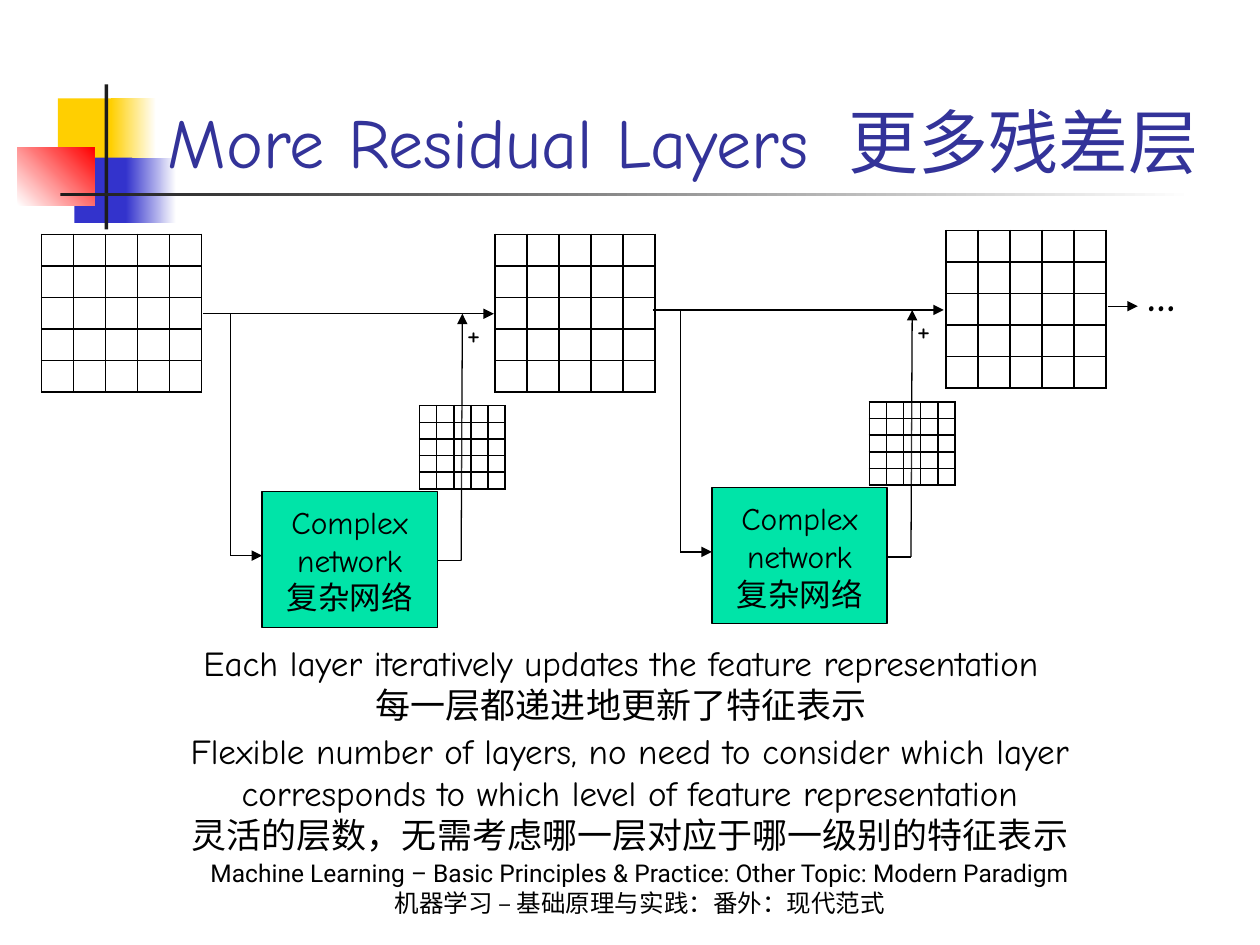
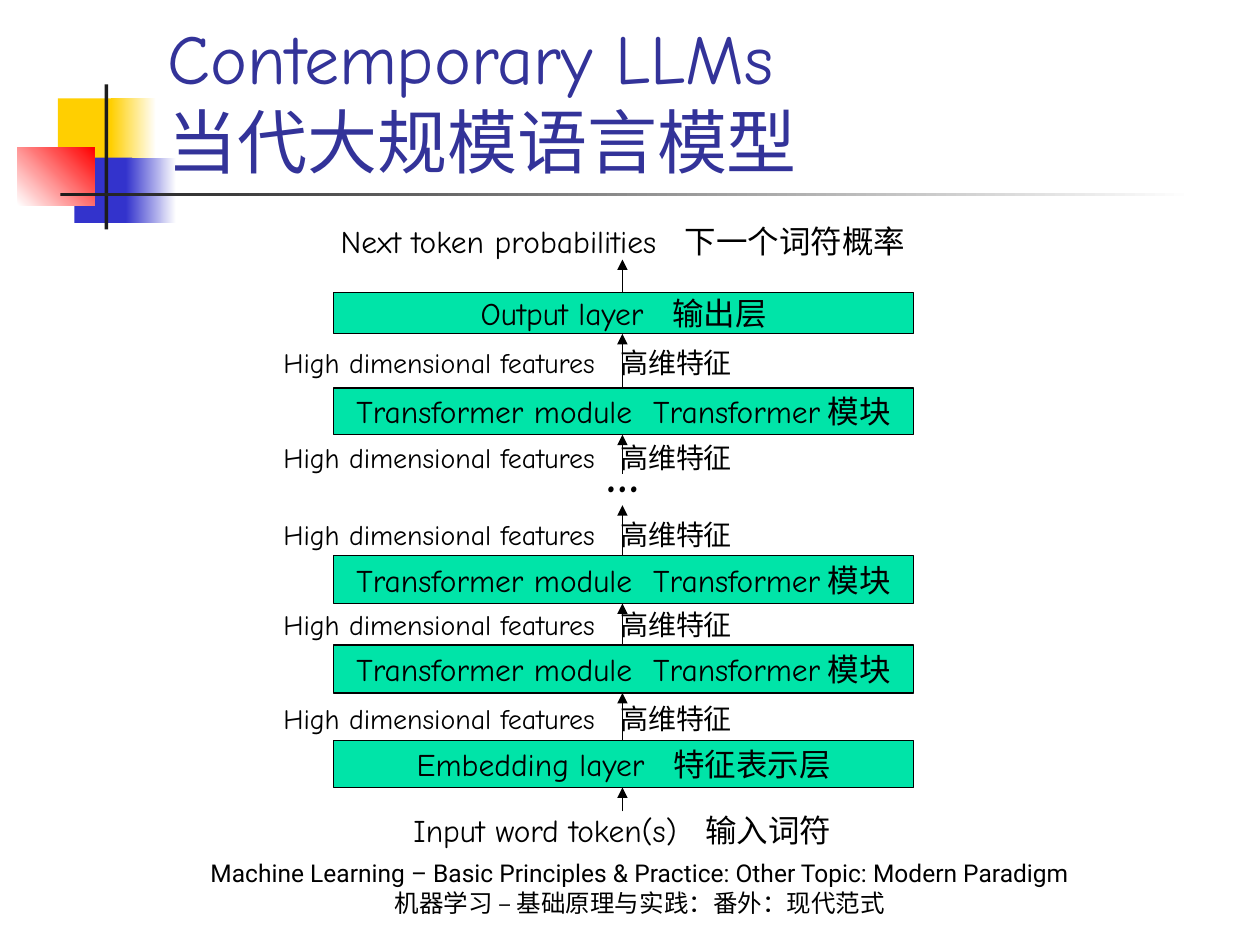
from lxml import etree
from pptx import Presentation
from pptx.dml.color import RGBColor
from pptx.enum import lang, shapes, text
from pptx.oxml.ns import qn
from pptx.util import Inches, Pt

COLORS = {
    "ink": "000000", "paper": "FFFFFF", "title": "333399", "box": "00E4A8",
    "yellow": "FFCF01", "blue": "3333CC", "red": "FF0000", "rule": "1C1C1C",
}
FONT = "Comic Neue"
FOOTER_FONT = "Roboto"
FOOTER = ("Machine Learning – Basic Principles & Practice: Other Topic: Modern Paradigm",
          "机器学习 – 基础原理与实践：番外：现代范式")
DECORATION = [  # left, top, width, height, colours, gradient angle
    (0.46, 0.78, 0.48, 0.52, ["yellow"], 0),
    (0.88, 0.78, 0.36, 0.52, ["yellow", "paper"], 0),
    (0.59, 1.25, 0.46, 0.52, ["blue"], 0),
    (1.0, 1.25, 0.4, 0.52, ["blue", "paper"], 0),
    (0.14, 1.17, 0.61, 0.46, ["paper", "red"], 45),
    (0.83, 0.67, 0.03, 1.15, ["rule"], 0),
    (0.48, 1.53, 9, 0.03, ["rule", "paper"], 0),
]
GRID_SIZE = 5


def rgb(name):
    return RGBColor.from_string(COLORS[name])


class Deck:
    def __init__(self):
        self.prs = Presentation()
        self.prs.slide_width, self.prs.slide_height = Inches(10), Inches(7.5)
        self.layout = self.prs.slide_layouts[5]
        self.s = None

    def new_slide(self, title, width):
        first = self.s is None
        self.s = self.prs.slides.add_slide(self.layout)
        if first:
            self.decorate_layout()
        sp = self.s.shapes.title
        sp.left, sp.top = Inches(1.23), Inches(0.5)
        sp.width, sp.height = Inches(width), Inches(1)
        self.set_text(sp, [title], 40, color="title", align=text.PP_ALIGN.LEFT,
                      anchor=text.MSO_ANCHOR.BOTTOM)
        self.label(0.83, 6.83, 8.5, 0.5, FOOTER, 14, font=FOOTER_FONT,
                   anchor=text.MSO_ANCHOR.BOTTOM)

    def decorate_layout(self):
        """Draw the corner blocks and rules, then move them behind the layout's content."""
        for i, (x, y, w, h, colors, angle) in enumerate(DECORATION):
            sp = self.rect(x, y, w, h, colors[0])
            sp.line.fill.background()
            if len(colors) > 1:
                sp.fill.gradient()
                sp.fill.gradient_angle = angle
                for stop, color in zip(sp.fill.gradient_stops, colors):
                    stop.color.rgb = rgb(color)
            self.layout.shapes.element.insert(2 + i, sp.element)

    def set_text(self, sp, lines, size, color="ink", font=FONT, bold=False,
                 align=text.PP_ALIGN.CENTER, anchor=text.MSO_ANCHOR.TOP, inset=None):
        tf = sp.text_frame
        tf.text = "\n".join(lines)
        tf.word_wrap = True
        tf.auto_size = text.MSO_AUTO_SIZE.NONE
        tf.vertical_anchor = anchor
        if inset is not None:
            tf.margin_left = tf.margin_right = Inches(inset)
            tf.margin_top = tf.margin_bottom = Inches(inset)
        for p in tf.paragraphs:
            p.alignment = align
            for r in p.runs:
                r.font.name, r.font.size, r.font.bold = font, Pt(size), bold
                r.font.color.rgb = rgb(color)
                r.font.language_id = lang.MSO_LANGUAGE_ID.SIMPLIFIED_CHINESE

    def label(self, x, y, w, h, lines, size, **style):
        sp = self.s.shapes.add_textbox(Inches(x), Inches(y), Inches(w), Inches(h))
        self.set_text(sp, lines, size, **style)

    def rect(self, x, y, w, h, color):
        sp = self.s.shapes.add_shape(shapes.MSO_SHAPE.RECTANGLE, Inches(x), Inches(y),
                                     Inches(w), Inches(h))
        sp.shadow.inherit = False
        sp.fill.solid()
        sp.fill.fore_color.rgb = rgb(color)
        return sp

    def box(self, x, y, w, h, lines, inset=None):
        sp = self.rect(x, y, w, h, "box")
        sp.line.color.rgb = rgb("ink")
        sp.line.width = Pt(0.75)
        self.set_text(sp, lines, 18, anchor=text.MSO_ANCHOR.MIDDLE, inset=inset)

    def line(self, x1, y1, x2, y2, arrow=False):
        cx = self.s.shapes.add_connector(shapes.MSO_CONNECTOR.STRAIGHT, Inches(x1),
                                         Inches(y1), Inches(x2), Inches(y2))
        cx.line.color.rgb = rgb("ink")
        cx.line.width = Pt(0.75)
        spPr = cx.element.spPr
        if arrow:
            etree.SubElement(spPr.find(qn("a:ln")), qn("a:tailEnd"), type="triangle")
        etree.SubElement(spPr, qn("a:effectLst"))

    def grid(self, x, y, w, h):
        """Draw an empty feature map as a square table."""
        table = self.s.shapes.add_table(GRID_SIZE, GRID_SIZE, Inches(x), Inches(y),
                                        Inches(w), Inches(h)).table
        table.first_row = table.horz_banding = False
        for col in table.columns:
            col.width = Inches(w / GRID_SIZE)
        for row in table.rows:
            row.height = Inches(h / GRID_SIZE)
        for cell in table.iter_cells():
            self.grid_cell(cell)

    def grid_cell(self, cell):
        cell.margin_left = cell.margin_right = cell.margin_top = cell.margin_bottom = 0
        etree.SubElement(cell.text_frame.paragraphs[0]._p, qn("a:endParaRPr"), sz="400")
        tcPr = cell._tc.get_or_add_tcPr()
        for side in ("lnL", "lnR", "lnT", "lnB"):
            ln = etree.SubElement(tcPr, qn(f"a:{side}"), w=str(Pt(1)))
            fill = etree.SubElement(ln, qn("a:solidFill"))
            etree.SubElement(fill, qn("a:srgbClr"), val=COLORS["ink"])
        cell.fill.solid()
        cell.fill.fore_color.rgb = rgb("paper")
        color = tcPr.find(qn("a:solidFill")).find(qn("a:srgbClr"))
        etree.SubElement(color, qn("a:alpha"), val="20000")


def residual_block(deck, x, y):
    """Draw one skip connection; x, y is where it leaves the input grid."""
    deck.line(x, y, x + 0.22, y)
    deck.line(x + 0.22, y, x + 0.22, y + 1.92)
    deck.line(x + 0.22, y + 1.92, x + 0.47, y + 1.92, arrow=True)
    deck.box(x + 0.47, y + 1.41, 1.39, 1.08, ["Complex network", "复杂网络"])
    deck.line(x + 1.86, y + 1.96, x + 2.05, y + 1.96)
    deck.line(x + 2.05, y + 1.96, x + 2.06, y, arrow=True)
    deck.grid(x + 1.72, y + 0.73, 0.68, 0.66)
    deck.line(x + 0.22, y, x + 2.31, y, arrow=True)
    deck.label(x + 1.97, y - 0.05, 0.36, 0.4, ["+"], 18)


def residual_slide(deck):
    deck.new_slide("More Residual Layers 更多残差层", 8.77)
    for x, y in ((0.33, 1.86), (3.93, 1.86), (7.51, 1.83)):
        deck.grid(x, y, 1.27, 1.25)
    residual_block(deck, 1.61, 2.49)
    residual_block(deck, 5.18, 2.46)
    deck.line(8.79, 2.43, 9.03, 2.43, arrow=True)
    deck.label(8.9, 2.09, 0.63, 0.5, ["…"], 24, bold=True)
    deck.label(0.67, 5.04, 8.52, 0.77,
               ["Each layer iteratively updates the feature representation",
                "每一层都递进地更新了特征表示"], 20)
    deck.label(0.74, 5.74, 8.52, 1.11,
               ["Flexible number of layers, no need to consider which layer "
                "corresponds to which level of feature representation",
                "灵活的层数，无需考虑哪一层对应于哪一级别的特征表示"], 20)


def llm_slide(deck):
    deck.new_slide("Contemporary LLMs\v当代大规模语言模型", 8.36)
    module = "Transformer module  Transformer模块"
    layers = [  # top, bottom, label, from the input upwards
        (5.88, 6.25, "Embedding layer  特征表示层"),
        (5.12, 5.5, module),
        (4.41, 4.79, module),
        (3.76, 4.01, None),
        (3.08, 3.45, module),
        (2.32, 2.65, "Output layer  输出层"),
    ]
    start = 6.44
    for top, bottom, name in layers:
        deck.line(4.94, start, 4.94, bottom, arrow=True)
        if name:
            deck.box(2.65, top, 4.6, bottom - top, [name], inset=0)
        else:
            deck.label(2.64, 3.47, 4.6, 0.57, ["…"], 28, bold=True)
        start = top
    deck.line(4.94, start, 4.94, 2.06, arrow=True)
    for y in (5.52, 4.77, 4.06, 3.45, 2.69):
        deck.label(1.73, y, 4.6, 0.37, ["High dimensional features  高维特征"], 16)
    deck.label(2.89, 6.44, 4.1, 0.3, ["Input word token(s)  输入词符"], 18, inset=0)
    deck.label(2.42, 1.76, 5.05, 0.3, ["Next token probabilities  下一个词符概率"], 18, inset=0)


def main():
    deck = Deck()
    residual_slide(deck)
    llm_slide(deck)
    deck.prs.save("out.pptx")


if __name__ == "__main__":
    main()
